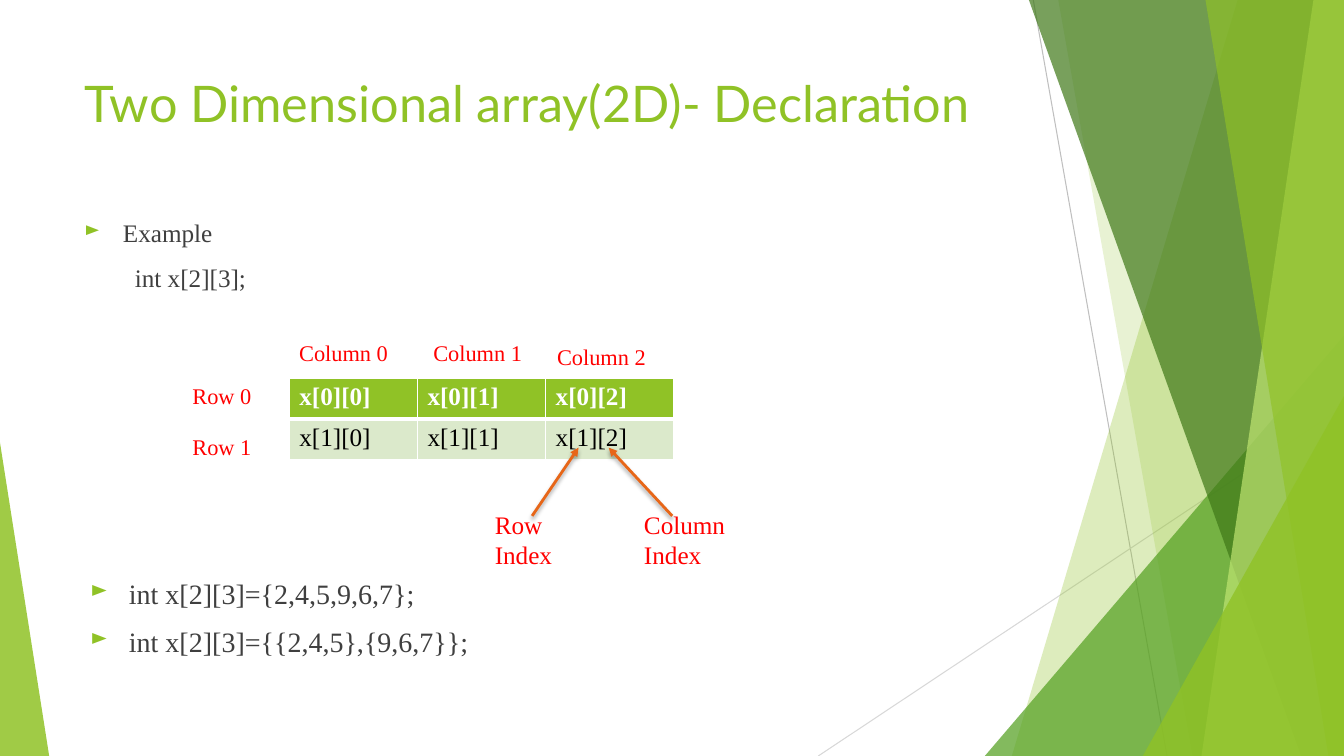
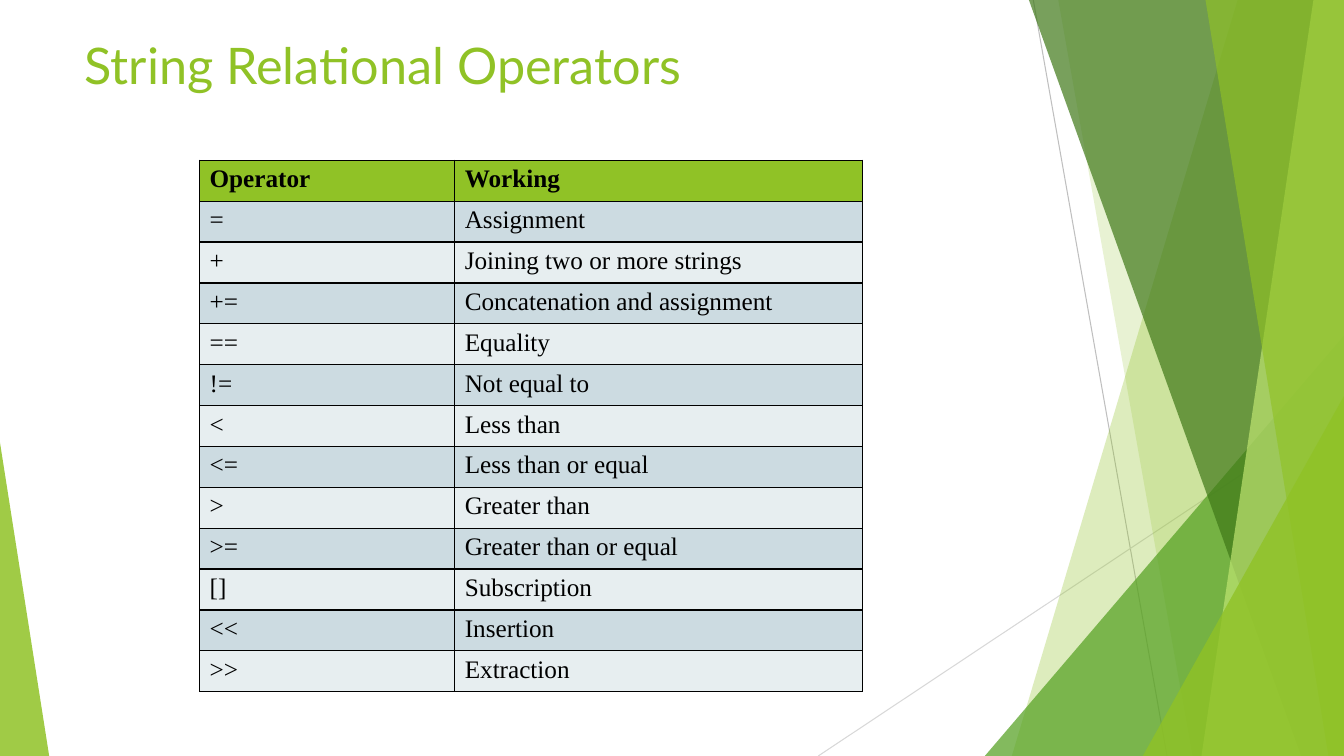
from lxml.etree import SubElement
from pptx import Presentation
from pptx.dml.color import RGBColor
from pptx.enum.shapes import MSO_CONNECTOR, MSO_SHAPE
from pptx.oxml.ns import qn
from pptx.util import Cm, Pt

HUES = {
    "white": "FFFFFF", "black": "000000", "text": "3F3F3F", "red": "FF0000",
    "green": "90C226", "leaf": "54A021", "deep": "3F7818", "lime": "BFE471",
    "pale": "DBE9CB", "blue": "CCDBE1", "mist": "E7EEF0",
    "grey": "BFBFBF", "light": "D8D8D8", "rust": "E76618",
}
HEAD, BODY = "Lato", "Times New Roman"
WIDE, HIGH = 33.87, 19.05
ROW = 1.03


def hue(name):
    return RGBColor.from_string(HUES[name])


def add(node, tag, **keys):
    return SubElement(node, qn(tag), {k: str(v) for k, v in keys.items()})


class Deck:
    """Holds the style, the file and the current slide."""

    def __init__(self):
        self.file = Presentation()
        self.file.slide_width, self.file.slide_height = Cm(WIDE), Cm(HIGH)

    def start(self, title, top):
        self.slide = self.file.slides.add_slide(self.file.slide_layouts[6])
        self.shapes = self.slide.shapes
        self.decor()
        self.text(title, 1.88, top, 23.88, 3.66, 36, "green", HEAD)

    def decor(self):
        self.line(26.04, 0, 29.41, HIGH, "grey")
        self.line(WIDE, 10.24, 20.62, HIGH, "light")
        self.wedge(31.19, 25.5, "green", 30)
        self.wedge(26.67, 30.05, "green", 20)
        self.peak(24.82, 8.46, 9.05, 1, "leaf", 72)
        self.wedge(25.93, 32.79, "deep", 70)
        self.wedge(33.1, 30.28, "lime", 70)
        self.wedge(30.38, 33.48, "green", 65)
        self.peak(28.8, 9.98, 5.07, 1, "green", 80)
        self.peak(0, 11.15, 1.24, 0, "green", 85)

    def paint(self, shape, tint, alpha):
        shape.shadow.inherit = False
        shape.line.fill.background()
        shape.fill.solid()
        shape.fill.fore_color.rgb = hue(tint)
        node = shape.fill._xPr.find(".//" + qn("a:srgbClr"))
        add(node, "a:alpha", val=alpha * 1000)

    def wedge(self, top, foot, tint, alpha):
        form = self.shapes.build_freeform(Cm(top), 0)
        form.add_line_segments(
            [(Cm(WIDE), 0), (Cm(WIDE), Cm(HIGH)), (Cm(foot), Cm(HIGH))])
        self.paint(form.convert_to_shape(), tint, alpha)

    def peak(self, left, top, wide, tip, tint, alpha):
        shape = self.shapes.add_shape(
            MSO_SHAPE.ISOSCELES_TRIANGLE, Cm(left), Cm(top), Cm(wide), Cm(HIGH - top))
        shape.adjustments[0] = tip
        self.paint(shape, tint, alpha)

    def line(self, x1, y1, x2, y2, tint, size=0.75):
        link = self.shapes.add_connector(
            MSO_CONNECTOR.STRAIGHT, Cm(x1), Cm(y1), Cm(x2), Cm(y2))
        link.line.color.rgb = hue(tint)
        link.line.width = Pt(size)
        return link, add(link._element.spPr, "a:effectLst")

    def arrow(self, x1, y1, x2, y2):
        link, effects = self.line(x1, y1, x2, y2, "rust", 2)
        add(link.line._get_or_add_ln(), "a:tailEnd", type="triangle")
        shade = add(effects, "a:outerShdw", blurRad=Pt(3), dist=Pt(2),
                    dir=90 * 60000, rotWithShape=0)
        add(add(shade, "a:srgbClr", val=HUES["black"]), "a:alpha", val=35000)

    def font(self, para, size, tint, face=BODY, bold=False):
        font = para.font
        font.size, font.name, font.bold = Pt(size), face, bold
        font.color.rgb = hue(tint)

    def text(self, words, left, top, wide, high, size, tint, face=BODY):
        box = self.shapes.add_textbox(Cm(left), Cm(top), Cm(wide), Cm(high))
        box.text_frame.word_wrap = True
        para = box.text_frame.paragraphs[0]
        para.text = words
        self.font(para, size, tint, face)

    def label(self, words, left, top):
        self.text(words, left, top, 3.15, 0.94, 16, "red")

    def list(self, items, top, high, size):
        box = self.shapes.add_textbox(Cm(1.88), Cm(top), Cm(23.88), Cm(high))
        frame = box.text_frame
        frame.word_wrap = True
        for n, (words, inset, mark) in enumerate(items):
            para = frame.add_paragraph() if n else frame.paragraphs[0]
            para.text = words
            props = para._p.get_or_add_pPr()
            props.set("marL", str(Cm(inset)))
            props.set("indent", str(-Cm(0.97) if mark else 0))
            if n:
                para.space_before = Pt(10)
            if mark:
                add(add(props, "a:buClr"), "a:srgbClr", val=HUES["green"])
                add(props, "a:buSzPct", val=80000)
                add(props, "a:buChar", char="►")
            else:
                add(props, "a:buNone")
            self.font(para, size, "text")

    def edge(self, cell, tint, top, foot):
        props = cell._tc.get_or_add_tcPr()
        for side, size in zip("LRTB", (1, 1, top, foot)):
            rule = add(props, f"a:ln{side}", w=Pt(size))
            add(add(rule, "a:solidFill"), "a:srgbClr", val=HUES[tint])

    def table(self, rows, left, top, wides, bands, ink, edge, rule):
        grid = self.shapes.add_table(
            len(rows), len(wides), Cm(left), Cm(top),
            Cm(sum(wides)), Cm(ROW * len(rows))).table
        grid.first_row = grid.horz_banding = False
        for col, wide in zip(grid.columns, wides):
            col.width = Cm(wide)
        for r, row in enumerate(rows):
            grid.rows[r].height = Cm(ROW)
            for c, words in enumerate(row):
                cell = grid.cell(r, c)
                self.edge(cell, edge, rule if r == 1 else 1, 1 if r else rule)
                cell.fill.solid()
                cell.fill.fore_color.rgb = hue(bands[(r - 1) % len(bands)] if r else "green")
                para = cell.text_frame.paragraphs[0]
                para.text = words
                self.font(para, 18, "black" if r else ink, bold=r == 0)


def arrays(deck):
    deck.start("Two Dimensional array(2D)- Declaration", 1.7)
    deck.list([("Example", 0.97, True), ("int x[2][3];", 1.27, False)], 5.36, 2.5, 18)
    deck.list([("int x[2][3]={2,4,5,9,6,7};", 1.12, True),
               ("int x[2][3]={{2,4,5},{9,6,7}};", 1.12, True)], 14.4, 2.9, 20)
    rows = [[f"x[{r}][{c}]" for c in range(3)] for r in range(2)]
    deck.table(rows, 7.29, 9.53, [3.23] * 3, ["pale"], "white", "white", 3)
    for n, (left, top) in enumerate([(7.29, 8.41), (10.67, 8.41), (13.79, 8.51)]):
        deck.label(f"Column {n}", left, top)
    for n in range(2):
        deck.label(f"Row {n}", 4.6, 9.5 + 1.3 * n)
    deck.arrow(13.41, 13, 14.58, 11.28)
    deck.text("Row Index", 12.22, 12.7, 2.34, 1.8, 18, "red")
    deck.arrow(16.94, 13, 15.34, 11.28)
    deck.text("Column Index", 15.98, 12.7, 2.87, 1.8, 18, "red")


def strings(deck):
    deck.start("String Relational Operators", 0.74)
    rows = [
        ("Operator", "Working"),
        ("=", "Assignment"),
        ("+", "Joining two or more strings"),
        ("+=", "Concatenation and assignment"),
        ("==", "Equality"),
        ("!=", "Not equal to"),
        ("<", "Less than"),
        ("<=", "Less than or equal"),
        (">", "Greater than"),
        (">=", "Greater than or equal"),
        ("[]", "Subscription"),
        ("<<", "Insertion"),
        (">>", "Extraction"),
    ]
    deck.table(rows, 5.03, 4.04, [6.43, 10.27], ["blue", "mist"], "black", "black", 1)


def main():
    deck = Deck()
    arrays(deck)
    strings(deck)
    deck.file.save("out.pptx")


if __name__ == "__main__":
    main()
